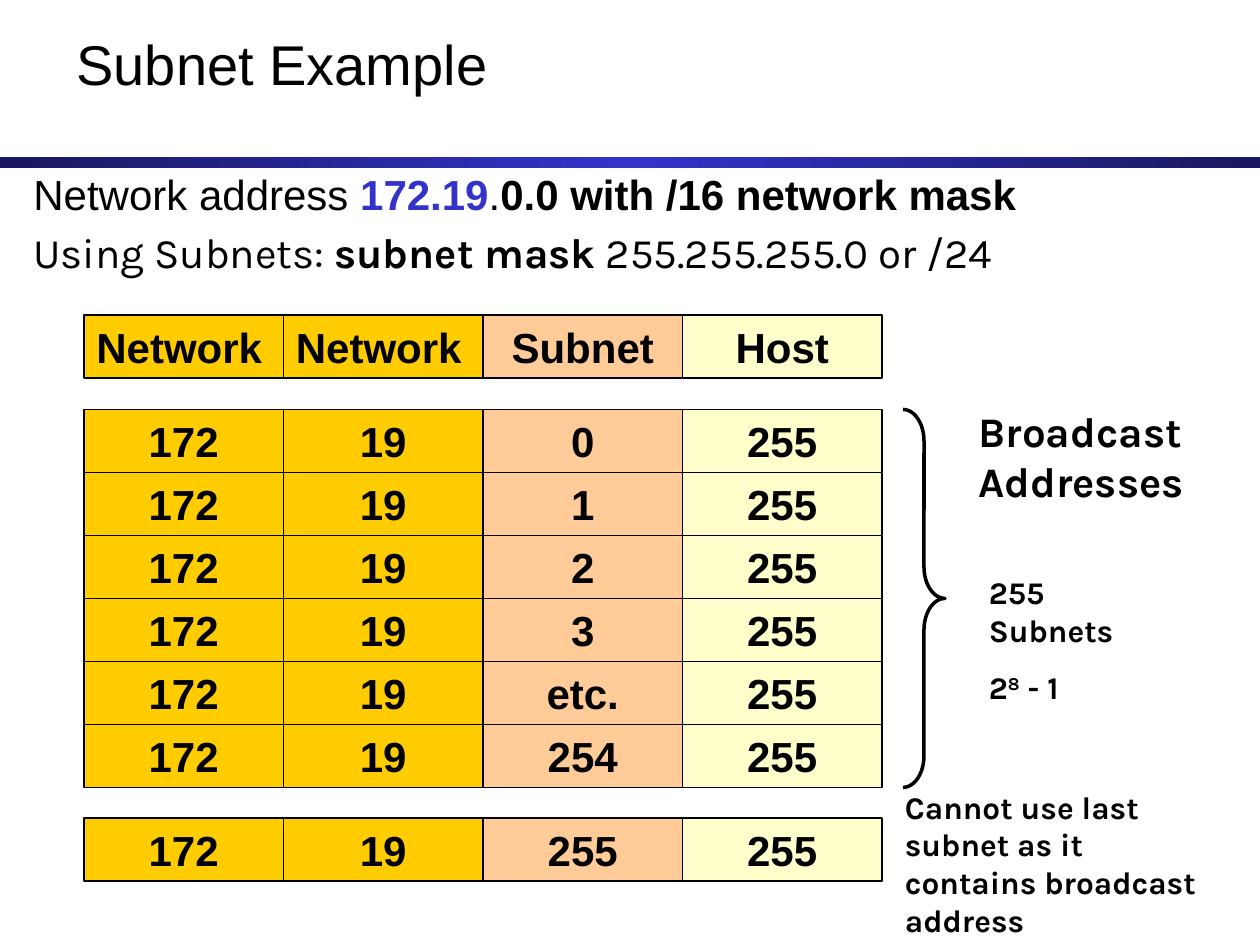
from copy import deepcopy

from pptx import Presentation
from pptx.dml.color import RGBColor
from pptx.enum.shapes import MSO_SHAPE
from pptx.enum.text import MSO_ANCHOR, PP_ALIGN
from pptx.util import Pt

BLACK = RGBColor(0x00, 0x00, 0x00)
BLUE = RGBColor(0x33, 0x33, 0xCC)
NAVY = RGBColor(0x18, 0x18, 0x5E)
GOLD = RGBColor(0xFF, 0xCC, 0x00)
PEACH = RGBColor(0xFF, 0xCC, 0x99)
CREAM = RGBColor(0xFF, 0xFF, 0xCC)

# Content
TITLE = "Subnet Example"
HEADER = ("Network", "Network", "Subnet", "Host")
SUBNETS = ("0", "1", "2", "3", "etc.", "254")
COLUMN_FILLS = (GOLD, GOLD, PEACH, CREAM)


def address(subnet):
    return ("172", "19", subnet, "255")


# Row blocks: top, rows
BLOCKS = [
    (180, [HEADER]),
    (234, [address(subnet) for subnet in SUBNETS]),
    (467.5, [address("255")]),
]
GRID_LEFT, CELL_W, CELL_H = 48, 114, 36

# Text boxes: left, top, width, height, font, size, space between, paragraphs
# Each paragraph is a list of runs: text, bold, colour
NOTES = [
    (12, 96, 672, 30, "Arial", 24, 0,
     [[("Network address ", False, BLACK), ("172.19", True, BLUE),
       (".", False, BLACK), ("0.0 with /16 network mask", True, BLACK)]]),
    (12, 126, 570, 65, "Karla", 24, 0,
     [[("Using Subnets: ", False, BLACK), ("subnet mask", True, BLACK),
       (" 255.255.255.0 or /24", False, BLACK)]]),
    (558, 324, 114, 83.5, "Karla", 18, 11.2,
     [[("255 Subnets", True, BLACK)],
      [("2", True, BLACK), ("8", True, BLACK), (" - 1", True, BLACK)]]),
    (510, 446.5, 192, 93.5, "Karla", 18, 0,
     [[("Cannot use last subnet as it contains broadcast address", True, BLACK)]]),
    (552, 228, 156, 65, "Karla", 24, 0,
     [[("Broadcast Addresses", True, BLACK)]]),
]


def style(font, name, size, bold=False, color=BLACK):
    font.name, font.size, font.bold = name, Pt(size), bold
    font.color.rgb = color


def add_shape(s, kind, left, top, width, height):
    sp = s.shapes.add_shape(kind, Pt(left), Pt(top), Pt(width), Pt(height))
    sp.shadow.inherit = False
    return sp


def add_cell(s, left, top, text, fill, align):
    sp = add_shape(s, MSO_SHAPE.RECTANGLE, left, top, CELL_W, CELL_H)
    sp.fill.solid()
    sp.fill.fore_color.rgb = fill
    sp.line.color.rgb = BLACK
    sp.line.width = Pt(0.75)
    tf = sp.text_frame
    tf.text = text
    tf.vertical_anchor = MSO_ANCHOR.TOP
    p = tf.paragraphs[0]
    p.alignment = align
    style(p.runs[0].font, "Arial", 24, True)


def add_note(s, left, top, width, height, font, size, gap, paragraphs):
    tf = s.shapes.add_textbox(Pt(left), Pt(top), Pt(width), Pt(height)).text_frame
    tf.word_wrap = True
    for i, runs in enumerate(paragraphs):
        p = tf.add_paragraph() if i else tf.paragraphs[0]
        if i:
            p.space_before = Pt(gap)
        for text, bold, color in runs:
            r = p.add_run()
            r.text = text
            style(r.font, font, size, bold, color)
    return tf


def add_bar(s):
    sp = add_shape(s, MSO_SHAPE.RECTANGLE, 0, 90, 720, 6)
    sp.line.fill.background()
    sp.fill.gradient()
    sp.fill.gradient_angle = 0
    first = sp.fill.gradient_stops[0]
    # A gradient starts with two stops; the middle one is a copy of the first
    stops = sp.element.spPr.find(".//{*}gsLst")
    stops.insert(1, deepcopy(stops[0]))
    for stop, position, color in zip(sp.fill.gradient_stops, (0, 0.5, 1),
                                     (NAVY, BLUE, NAVY)):
        stop.position = position
        stop.color.rgb = color


def main():
    prs = Presentation()
    prs.slide_width, prs.slide_height = Pt(720), Pt(540)
    s = prs.slides.add_slide(prs.slide_layouts[5])

    # Title and divider
    title = s.shapes.title
    title.left, title.top, title.width, title.height = Pt(36.5), Pt(17), Pt(554), Pt(38)
    tf = title.text_frame
    tf.text = TITLE
    tf.vertical_anchor = MSO_ANCHOR.MIDDLE
    tf.paragraphs[0].alignment = PP_ALIGN.LEFT
    style(tf.paragraphs[0].runs[0].font, "Arial", 32)
    add_bar(s)

    # Address grid
    for top, rows in BLOCKS:
        for i, row in enumerate(rows):
            for j, (text, fill) in enumerate(zip(row, COLUMN_FILLS)):
                align = PP_ALIGN.LEFT if text == "Network" else PP_ALIGN.CENTER
                add_cell(s, GRID_LEFT + j * CELL_W, top + i * CELL_H, text, fill, align)

    # Brace beside the usable subnets
    brace = add_shape(s, MSO_SHAPE.RIGHT_BRACE, 516, BLOCKS[1][0], 24,
                      len(SUBNETS) * CELL_H)
    brace.adjustments[0] = 0.75
    brace.fill.background()
    brace.line.color.rgb = BLACK
    brace.line.width = Pt(2)

    # Text
    frames = [add_note(s, *note) for note in NOTES]
    frames[0].paragraphs[0].line_spacing = 0.9
    exponent = frames[2].paragraphs[1].runs[1]
    exponent.font._element.set("baseline", "30000")

    prs.save("out.pptx")


if __name__ == "__main__":
    main()
